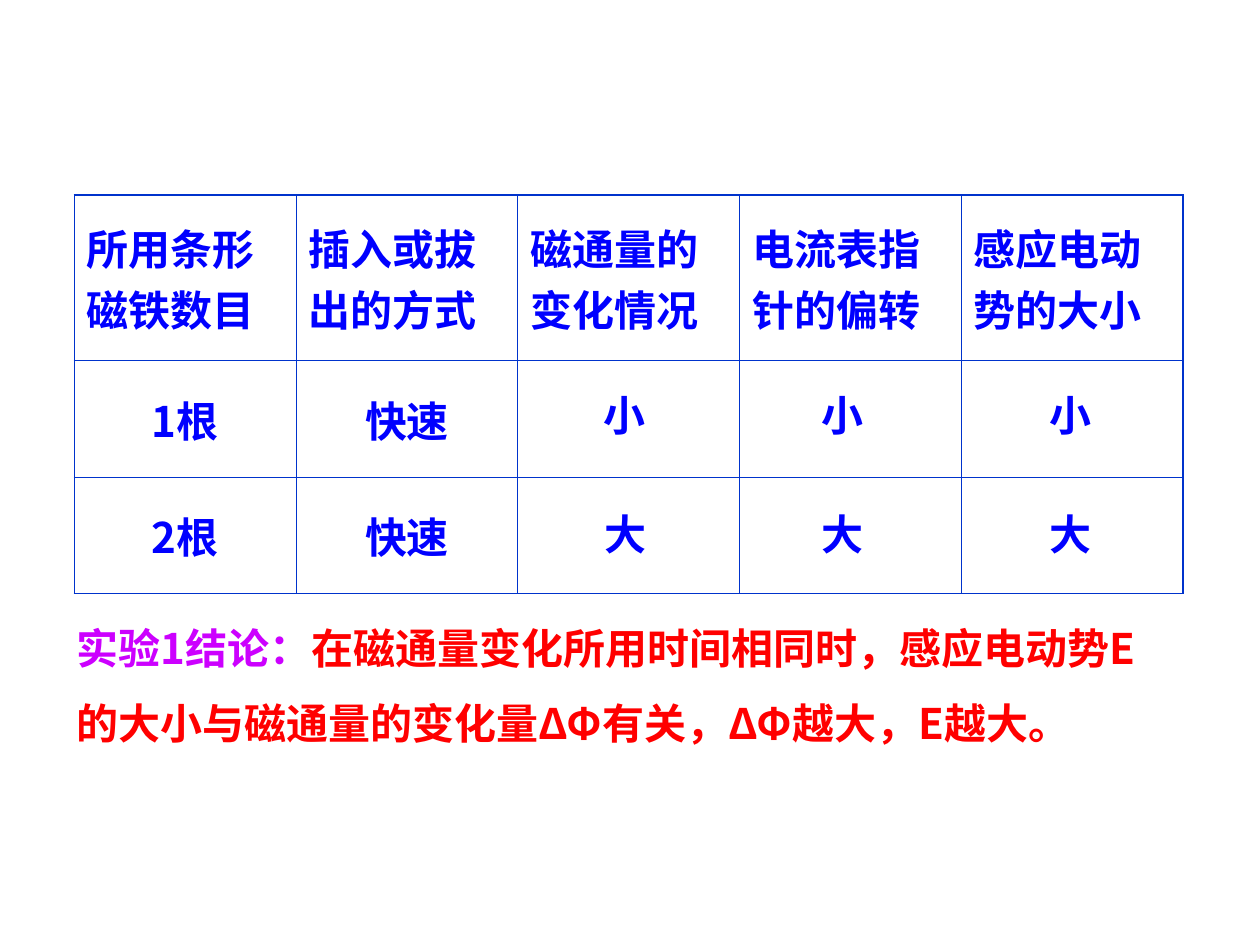
from dataclasses import dataclass

from lxml import etree
from pptx import Presentation
from pptx.dml.color import RGBColor
from pptx.enum.text import MSO_ANCHOR, MSO_AUTO_SIZE, PP_ALIGN
from pptx.oxml.ns import qn
from pptx.util import Inches, Pt

MIDDLE = MSO_ANCHOR.MIDDLE
GROW = MSO_AUTO_SIZE.SHAPE_TO_FIT_TEXT
LEFT, CENTER = PP_ALIGN.LEFT, PP_ALIGN.CENTER


@dataclass(frozen=True)
class Theme:
    text: str = "0000FF"
    label: str = "CC00FF"
    finding: str = "FF0000"
    border: str = "0033CC"
    outer: float = 1.08
    inner: float = 0.45
    size: int = 24
    latin: str = "Arial"
    chinese: str = "Noto Sans CJK SC"


THEME = Theme()
ROWS = [
    ["所用条形磁铁数目", "插入或拔出的方式", "磁通量的变化情况", "电流表指针的偏转", "感应电动势的大小"],
    ["1根", "快速", "", "", ""],
    ["2根", "快速", "", "", ""],
]
ROW_HEIGHTS = [1.31, 0.93, 0.92]
COLUMN_WIDTH = 1.76
MARKS = [
    ("小", 3.04, [(4.69, 0.53, False), (6.42, 0.65, True), (8.23, 0.65, True)]),
    ("大", 3.99, [(4.7, 0.53, False), (6.42, 0.53, False), (8.23, 0.53, False)]),
]
CONCLUSION = "在磁通量变化所用时间相同时，感应电动势E的大小与磁通量的变化量ΔΦ有关，ΔΦ越大，E越大。"


def add_span(para, text, color=THEME.text, font=THEME.latin):
    span = para.add_run()
    span.text = text
    span.font.size = Pt(THEME.size)
    span.font.bold = True
    span.font.color.rgb = RGBColor.from_string(color)
    span.font.name = font
    etree.SubElement(span.font._element, qn("a:ea"), typeface=THEME.chinese)


def add_box(page, left, top, width, height, wrap=True):
    box = page.shapes.add_textbox(Inches(left), Inches(top), Inches(width), Inches(height))
    box.text_frame.word_wrap = wrap
    box.text_frame.auto_size = GROW
    return box.text_frame.paragraphs[0]


def set_borders(cell, widths):
    properties = cell._tc.get_or_add_tcPr()
    for index, (side, width) in enumerate(widths.items()):
        line = etree.Element(qn(f"a:ln{side}"), w=str(Pt(width)))
        fill = etree.SubElement(line, qn("a:solidFill"))
        etree.SubElement(fill, qn("a:srgbClr"), val=THEME.border)
        properties.insert(index, line)


def fill_cell(cell, text, align, font):
    cell.fill.background()
    cell.vertical_anchor = MIDDLE
    if text:
        para = cell.text_frame.paragraphs[0]
        para.alignment = align
        para.space_before = Pt(6)
        add_span(para, text, font=font)


def add_results_table(page):
    row_count, column_count = len(ROWS), len(ROWS[0])
    frame = page.shapes.add_table(
        row_count, column_count, Inches(0.59), Inches(1.55),
        Inches(COLUMN_WIDTH * column_count), Inches(sum(ROW_HEIGHTS)))
    table = frame.table
    table.first_row = table.horz_banding = False
    for column in table.columns:
        column.width = Inches(COLUMN_WIDTH)
    for row, texts in enumerate(ROWS):
        table.rows[row].height = Inches(ROW_HEIGHTS[row])
        for column, text in enumerate(texts):
            cell = table.cell(row, column)
            count_cell = row > 0 and column == 0
            fill_cell(cell, text, CENTER if row else LEFT,
                      THEME.chinese if count_cell else THEME.latin)
            edges = {"L": column == 0, "R": column == column_count - 1,
                     "T": row == 0, "B": row == row_count - 1}
            set_borders(cell, {side: THEME.outer if edge else THEME.inner
                               for side, edge in edges.items()})


def add_conclusion(page):
    para = add_box(page, 0.51, 4.69, 8.82, 1.3)
    para.line_spacing = 1.5
    add_span(para, "实验1结论：", color=THEME.label, font=THEME.chinese)
    add_span(para, CONCLUSION, color=THEME.finding, font=THEME.chinese)


def add_marks(page):
    for text, top, places in MARKS:
        for left, width, wrap in places:
            add_span(add_box(page, left, top, width, 0.5, wrap=wrap), text)


def main():
    deck = Presentation()
    deck.slide_width, deck.slide_height = Inches(10), Inches(7.5)
    page = deck.slides.add_slide(deck.slide_layouts[6])
    add_results_table(page)
    add_conclusion(page)
    add_marks(page)
    deck.save("out.pptx")


if __name__ == "__main__":
    main()
